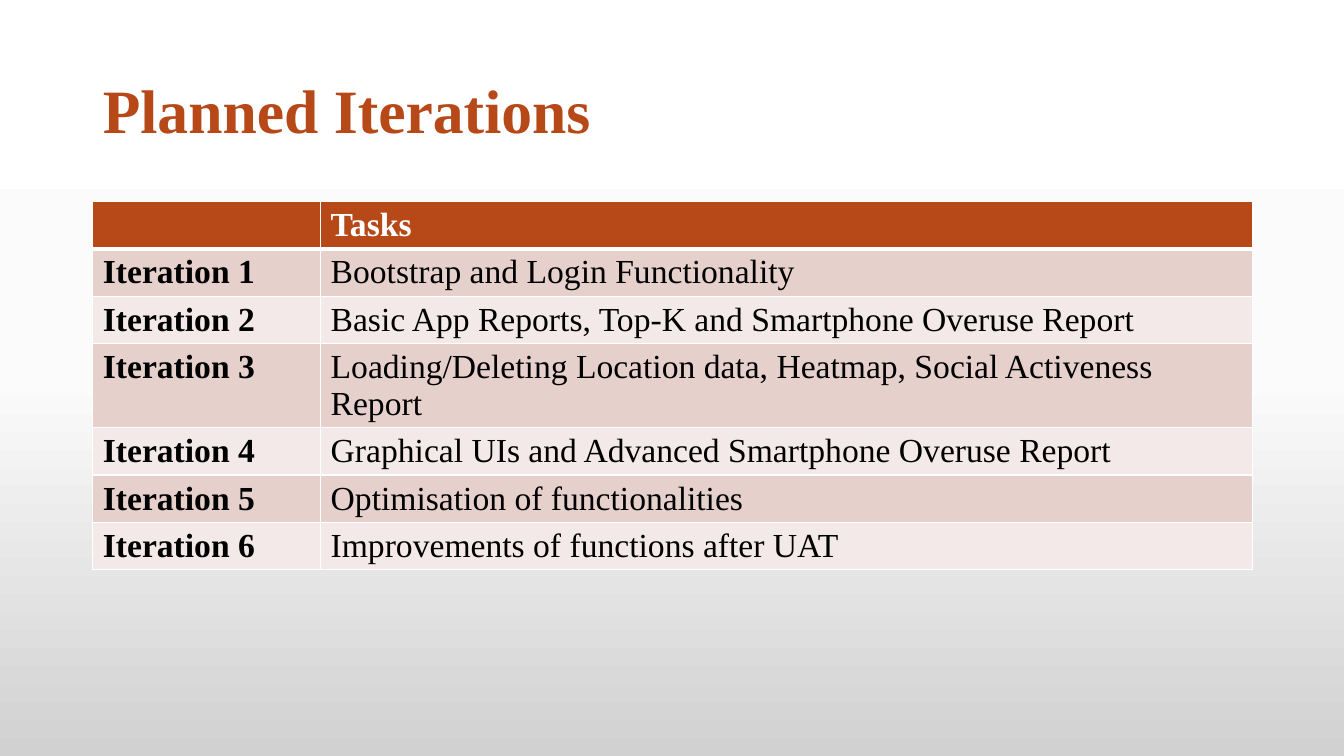
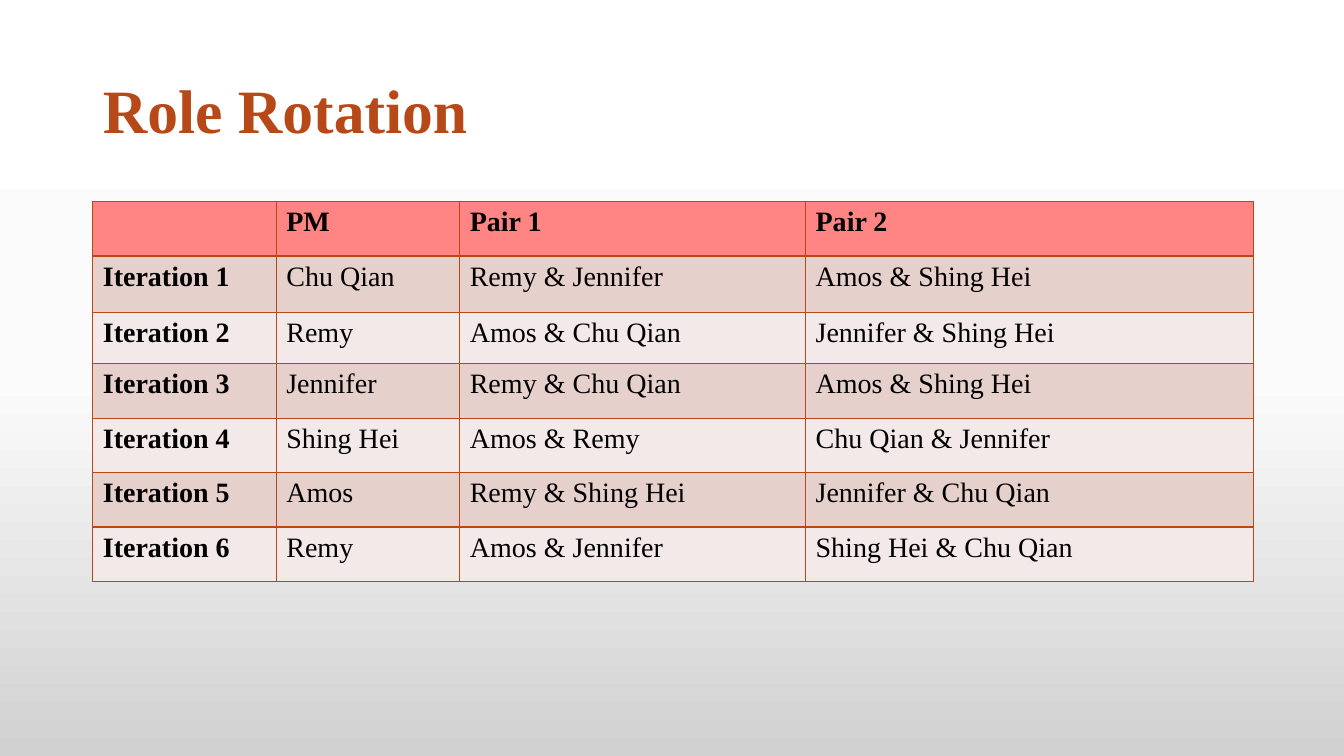
"""Build two slides on planned iterations and the rotation of team roles."""
import copy

import pptx
import pptx.dml.color
import pptx.enum.text
import pptx.oxml
import pptx.oxml.ns
import pptx.util
from lxml import etree

RGBColor = pptx.dml.color.RGBColor
Inches = pptx.util.Inches
Pt = pptx.util.Pt

WHITE = RGBColor(0xFF, 0xFF, 0xFF)
BLACK = RGBColor(0x00, 0x00, 0x00)
RUST = RGBColor(0xB7, 0x49, 0x19)
CORAL = RGBColor(0xFF, 0x85, 0x85)
BANDS = (RGBColor(0xE6, 0xD0, 0xCC), RGBColor(0xF3, 0xE9, 0xE8))
BACKDROP = ((0, WHITE), (0.5, RGBColor(0xFB, 0xFB, 0xFB)), (1, RGBColor(0xD1, 0xD1, 0xD1)))

FONT = "Times New Roman"
WIDTH, HEIGHT = 13.33, 7.5
LEFT, CONTENT_WIDTH = 0.92, 11.5
TITLE_TOP, TITLE_HEIGHT = 0.4, 1.45
TABLE_TOP = 2

SLIDES = (
    {
        "title": "Planned Iterations",
        "header": ("", "Tasks"),
        "rows": (
            ("Bootstrap and Login Functionality",),
            ("Basic App Reports, Top-K and Smartphone Overuse Report",),
            ("Loading/Deleting Location data, Heatmap, Social Activeness Report",),
            ("Graphical UIs and Advanced Smartphone Overuse Report",),
            ("Optimisation of functionalities",),
            ("Improvements of functions after UAT",),
        ),
        "columns": (2.26, 9.24),
        "heights": (0.41,) * 7,
        "size": 24,
        "header_fill": RUST,
        "header_text": WHITE,
        "border": WHITE,
        "header_rule": 3,
    },
    {
        "title": "Role Rotation",
        "header": ("", "PM", "Pair 1", "Pair 2"),
        "rows": (
            ("Chu Qian", "Remy & Jennifer", "Amos & Shing Hei"),
            ("Remy ", "Amos & Chu Qian", "Jennifer & Shing Hei"),
            ("Jennifer", "Remy & Chu Qian", "Amos & Shing Hei"),
            ("Shing Hei", "Amos & Remy", "Chu Qian & Jennifer"),
            ("Amos", "Remy & Shing Hei", "Jennifer & Chu Qian"),
            ("Remy", "Amos & Jennifer", "Shing Hei & Chu Qian"),
        ),
        "columns": (1.82, 1.82, 3.43, 4.44),
        "heights": (0.54, 0.56, 0.51, 0.54, 0.54, 0.54, 0.54),
        "size": 20,
        "header_fill": CORAL,
        "header_text": BLACK,
        "border": RUST,
        "header_rule": 1,
    },
)


def paint_background(master):
    fill = master.background.fill
    fill.gradient()
    fill.gradient_angle = 270
    stop_list = master.element.find(".//" + pptx.oxml.ns.qn("a:gsLst"))
    stop_list.append(copy.deepcopy(stop_list[0]))
    for stop, (position, color) in zip(fill.gradient_stops, BACKDROP):
        stop.position = position
        stop.color.rgb = color


def format_text(frame, size, color, bold):
    for para in frame.paragraphs:
        for span in para.runs:
            span.font.name = FONT
            span.font.size = Pt(size)
            span.font.bold = bold
            span.font.color.rgb = color


def add_titled_page(deck, title):
    page = deck.slides.add_slide(deck.slide_layouts[5])
    box = page.shapes.title
    box.left, box.top = Inches(LEFT), Inches(TITLE_TOP)
    box.width, box.height = Inches(CONTENT_WIDTH), Inches(TITLE_HEIGHT)
    frame = box.text_frame
    frame.text = title
    frame.vertical_anchor = pptx.enum.text.MSO_ANCHOR.MIDDLE
    frame.paragraphs[0].alignment = pptx.enum.text.PP_ALIGN.LEFT
    frame.paragraphs[0].line_spacing = 0.9
    format_text(frame, 44, RUST, True)
    return page


def set_borders(cell, color, widths):
    properties = cell._tc.get_or_add_tcPr()
    for side, width in widths.items():
        line = etree.SubElement(properties, pptx.oxml.ns.qn("a:ln" + side), w=str(Pt(width)))
        solid = etree.SubElement(line, pptx.oxml.ns.qn("a:solidFill"))
        etree.SubElement(solid, pptx.oxml.ns.qn("a:srgbClr"), val=str(color))


def add_grid(page, content):
    rows = [content["header"]]
    rows += [(f"Iteration {number}", *row) for number, row in enumerate(content["rows"], 1)]
    columns, heights = content["columns"], content["heights"]
    table = page.shapes.add_table(
        len(rows), len(columns), Inches(LEFT), Inches(TABLE_TOP),
        Inches(CONTENT_WIDTH), Inches(sum(heights))).table
    for column, width in zip(table.columns, columns):
        column.width = Inches(width)
    for row, height in zip(table.rows, heights):
        row.height = Inches(height)
    for row_index, texts in enumerate(rows):
        is_header = row_index == 0
        fill = content["header_fill"] if is_header else BANDS[(row_index - 1) % 2]
        color = content["header_text"] if is_header else BLACK
        widths = {"L": 1, "R": 1, "T": 1, "B": 1}
        if is_header:
            widths["B"] = content["header_rule"]
        elif row_index == 1:
            widths["T"] = content["header_rule"]
        for column_index, text in enumerate(texts):
            cell = table.cell(row_index, column_index)
            set_borders(cell, content["border"], widths)
            cell.fill.solid()
            cell.fill.fore_color.rgb = fill
            cell.text_frame.text = text
            format_text(cell.text_frame, content["size"], color, is_header or column_index == 0)


deck = pptx.Presentation()
deck.slide_width, deck.slide_height = Inches(WIDTH), Inches(HEIGHT)
paint_background(deck.slide_master)
for content in SLIDES:
    add_grid(add_titled_page(deck, content["title"]), content)
deck.save("out.pptx")
